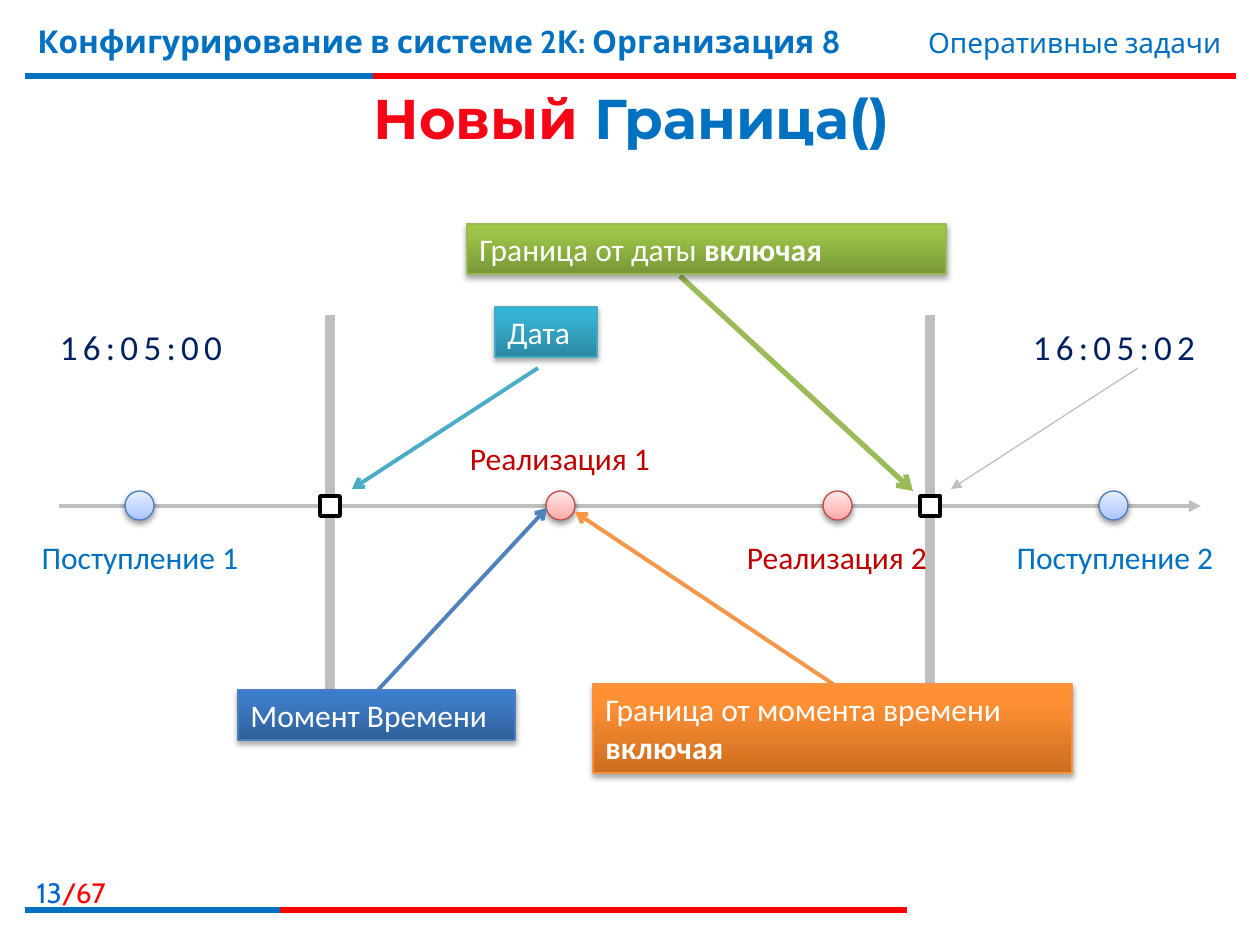
from lxml import etree
from pptx import Presentation
from pptx.dml.color import RGBColor
from pptx.enum.shapes import MSO_CONNECTOR, MSO_SHAPE
from pptx.enum.text import MSO_ANCHOR, MSO_AUTO_SIZE, PP_ALIGN
from pptx.oxml import parse_xml
from pptx.oxml.ns import nsdecls, qn
from pptx.util import Emu, Pt

LINE = MSO_CONNECTOR.STRAIGHT
OVAL, RECT = MSO_SHAPE.OVAL, MSO_SHAPE.RECTANGLE
LEFT, MID, RIGHT = PP_ALIGN.LEFT, PP_ALIGN.CENTER, PP_ALIGN.RIGHT
CENTER, TOP, NONE = MSO_ANCHOR.MIDDLE, MSO_ANCHOR.TOP, MSO_AUTO_SIZE.NONE

RED, BLUE, GRAY, NAVY, DARK = "FF0000", "0070C0", "BFBFBF", "002060", "C00000"
AXIS = 506
RULES = [(76, 1236, 373), (910, 907, 280)]
BARS = [330, 930]
HEADS = [
    ((-13, 869, 131, 40), RIGHT, 16, [("13", "0066CC", False), ("/67", RED, False)]),
    ((25, 16, 932, 78), LEFT, 18,
     [("Конфигурирование в системе 2К: Организация 8", BLUE, True)]),
    ((748, 19, 486, 47), RIGHT, 16, [("Оперативные задачи", BLUE, False)]),
]
LABELS = [
    (141, 319, "16:05:00", 20, NAVY, 3),
    (1114, 319, "16:05:02", 20, NAVY, 3),
    (560, 433, "Реализация 1", 18, DARK, 0),
    (140, 532, "Поступление 1", 18, BLUE, 0),
    (837, 532, "Реализация 2", 18, DARK, 0),
    (1115, 532, "Поступление 2", 18, BLUE, 0),
]
COOL = ([(0, "A4C4FF"), (35, "BFD4FF"), (100, "E6EEFF")], "4B7EBC")
WARM = ([(0, "FFA6A5"), (35, "FFC0BF"), (100, "FFE7E7")], "BF4C48")
DOTS = [(139, COOL), (1113, COOL), (560, WARM), (837, WARM)]
ARROWS = [
    ((538, 368, 352, 489), "4BACC6", 2.25, "arrow"),
    ((1138, 368, 951, 489), GRAY, 0.75, "triangle"),
    ((378, 690, 547, 508), "4F81BD", 2.25, "arrow"),
    ((833, 684, 575, 512), "F79646", 2.25, "arrow"),
    ((680, 276, 913, 491), "9BBB59", 3, "arrow"),
]
BOXES = [
    ((238, 690, 277, 50), ("2F5F99", "3D7CC7", "3A7CCB"), "4B7EBC",
     "Момент Времени", ""),
    ((593, 684, 479, 89), ("CC6E20", "FF9034", "FF9136"), "F69240",
     "Граница от момента времени ", "включая"),
    ((467, 224, 479, 50), ("779737", "9BC348", "9DC746"), "98B955",
     "Граница от даты ", "включая"),
    ((495, 307, 102, 50), ("2A88A2", "37B1D2", "34B4D6"), "46AAC5", "Дата", ""),
]


def px(n):
    return Emu(round(n * 914400 / 126))


def rgb(code):
    return RGBColor.from_string(code)


def blend(stops, angle):
    marks = "".join(
        f'<a:gs pos="{pos * 1000}"><a:srgbClr val="{code}"/></a:gs>'
        for pos, code in stops)
    return parse_xml(
        f'<a:gradFill {nsdecls("a")} rotWithShape="1"><a:gsLst>{marks}</a:gsLst>'
        f'<a:lin ang="{angle * 60000}" scaled="0"/></a:gradFill>')


def write(para, text, size, color, bold=False, face="Calibri", gap=0):
    run = para.add_run()
    run.text = text
    font = run.font
    font.name, font.size, font.bold = face, Pt(size), bold
    if color:
        font.color.rgb = rgb(color)
    props = run._r.get_or_add_rPr()
    if gap:
        props.set("spc", str(gap * 100))
    return props


def label(slide, box, align, wrap=True):
    frame = slide.shapes.add_textbox(*map(px, box)).text_frame
    frame.word_wrap = wrap
    para = frame.paragraphs[0]
    para.alignment = align
    return para


def line(slide, ends, color, width, head=None):
    conn = slide.shapes.add_connector(LINE, *map(px, ends))
    conn.line.color.rgb = rgb(color)
    conn.line.width = Pt(width)
    props = conn._element.spPr
    if head:
        etree.SubElement(props.find(qn("a:ln")), qn("a:tailEnd"), type=head)
    etree.SubElement(props, qn("a:effectLst"))


def form(slide, kind, box, edge, width, stops=None, alpha=38):
    shape = slide.shapes.add_shape(kind, *map(px, box))
    shape.line.color.rgb = rgb(edge)
    shape.line.width = Pt(width)
    shape.shadow.inherit = False
    if not stops:
        shape.fill.solid()
        shape.fill.fore_color.rgb = rgb("FFFFFF")
        return shape
    props = shape._element.spPr
    props.insert(2, blend(stops, 270))
    props.find(qn("a:effectLst")).append(parse_xml(
        f'<a:outerShdw {nsdecls("a")} blurRad="40000" dist="22000" dir="5400000" '
        f'rotWithShape="0"><a:srgbClr val="000000"><a:alpha val="{alpha * 1000}"/>'
        '</a:srgbClr></a:outerShdw>'))
    return shape


def head(slide):
    for y, end, mid in RULES:
        line(slide, (25, y, end, y), RED, 3)
        line(slide, (25, y, mid, y), BLUE, 3)
    for box, align, size, runs in HEADS:
        para = label(slide, box, align)
        for text, color, bold in runs:
            write(para, text, size, color, bold, "Cabin")
    title = slide.shapes.title
    title.left, title.top, title.width, title.height = map(px, (26, 79, 1211, 76))
    frame = title.text_frame
    frame.auto_size, frame.vertical_anchor = NONE, CENTER
    para = frame.paragraphs[0]
    para.alignment = MID
    for text, color in [("Новый ", None), ("Граница()", BLUE)]:
        props = write(para, text, 32, color, True, "Montserrat")
        if not color:
            props.insert(0, blend([(55, "F50516"), (86, DARK)], 90))
        props.insert(0, parse_xml(
            f'<a:ln {nsdecls("a")} w="9525"><a:solidFill><a:srgbClr val="FFFFFF"/>'
            '</a:solidFill></a:ln>'))


def chart(slide):
    line(slide, (59, AXIS, 1201, AXIS), GRAY, 2.25, "triangle")
    for x in BARS:
        line(slide, (x, 315, x, 699), GRAY, 6)
    for x, y, text, size, color, gap in LABELS:
        para = label(slide, (x - 112, y, 224, 50), MID, False)
        write(para, text, size, color, gap=gap)
    for x, (stops, edge) in DOTS:
        form(slide, OVAL, (x - 14, AXIS - 15, 29, 29), edge, 0.75, stops)
    for x in BARS:
        form(slide, RECT, (x - 10, AXIS - 10, 20, 20), "000000", 2)
    for ends, color, width, tip in ARROWS:
        line(slide, ends, color, width, tip)
    for box, tones, edge, plain, strong in BOXES:
        shape = form(slide, RECT, box, edge, 0.75, list(zip((0, 80, 100), tones)), 35)
        frame = shape.text_frame
        frame.word_wrap, frame.vertical_anchor = True, TOP
        para = frame.paragraphs[0]
        para.alignment = LEFT
        write(para, plain, 18, "FFFFFF")
        if strong:
            write(para, strong, 18, "FFFFFF", True)


def main():
    deck = Presentation()
    deck.slide_width, deck.slide_height = px(1260), px(945)
    slide = deck.slides.add_slide(deck.slide_layouts[5])
    head(slide)
    chart(slide)
    deck.save("out.pptx")


if __name__ == "__main__":
    main()
